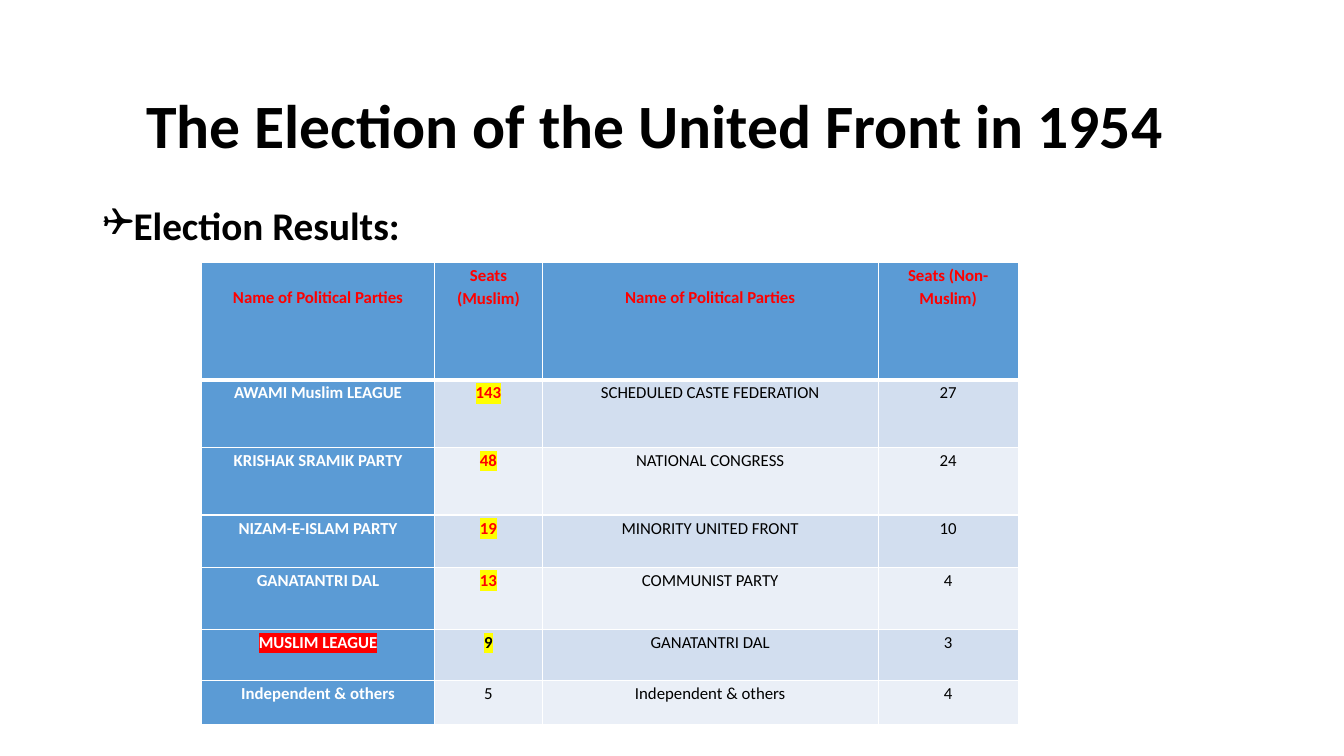
from lxml.etree import SubElement
from pptx import Presentation
from pptx.dml.color import RGBColor
from pptx.enum.text import MSO_ANCHOR, PP_ALIGN
from pptx.oxml.ns import qn
from pptx.util import Inches, Pt

COLORS = {
    "black": "000000",
    "white": "FFFFFF",
    "red": "FF0000",
    "yellow": "FFFF00",
    "blue": "5B9BD5",
    "dark band": "D2DEEF",
    "light band": "EAEFF7",
}


def style(paragraph, size, color, bold):
    paragraph.font.name = "Calibri"
    paragraph.font.size = Pt(size)
    paragraph.font.bold = bold
    paragraph.font.color.rgb = RGBColor.from_string(COLORS[color])


def add_color(parent, tag, color):
    holder = SubElement(parent, qn(tag))
    SubElement(holder, qn("a:srgbClr"), val=COLORS[color])


prs = Presentation()
prs.slide_width = Inches(13.33)
prs.slide_height = Inches(7.5)
slide = prs.slides.add_slide(prs.slide_layouts[6])

title = slide.shapes.add_textbox(Inches(0.75), Inches(0.55), Inches(11.5), Inches(1.45)).text_frame
title.word_wrap = True
title.vertical_anchor = MSO_ANCHOR.MIDDLE
heading = title.paragraphs[0]
heading.text = "The Election of the United Front in 1954"
heading.alignment = PP_ALIGN.CENTER
heading.line_spacing = 0.9
style(heading, 44, "black", True)

body = slide.shapes.add_textbox(Inches(0.92), Inches(2), Inches(11.5), Inches(4.76)).text_frame
body.word_wrap = True
results = body.paragraphs[0]
results.text = "Election Results:"
results.line_spacing = 0.9
bullet_props = results._p.get_or_add_pPr()
bullet_props.set("marL", str(Inches(0.25)))
bullet_props.set("indent", str(Inches(-0.25)))
SubElement(bullet_props, qn("a:buFont"), typeface="Wingdings")
SubElement(bullet_props, qn("a:buChar"), char="❑")
style(results, 28, "black", True)

seats = [
    ("Name of Political Parties", "Seats (Muslim)", "Name of Political Parties", "Seats (Non-Muslim)"),
    ("AWAMI Muslim LEAGUE", "143", "SCHEDULED CASTE FEDERATION", "27"),
    ("KRISHAK SRAMIK PARTY", "48", "NATIONAL CONGRESS", "24"),
    ("NIZAM-E-ISLAM PARTY", "19", "MINORITY UNITED FRONT", "10"),
    ("GANATANTRI DAL", "13", "COMMUNIST PARTY", "4"),
    ("MUSLIM LEAGUE", "9", "GANATANTRI DAL", "3"),
    ("Independent & others", "5", "Independent & others", "4"),
]
column_widths = [2.31, 1.07, 3.33, 1.39]
row_heights = [1.17, 0.67, 0.67, 0.52, 0.62, 0.5, 0.44]
highlights = {(row, 1): "yellow" for row in range(1, 6)}
highlights[5, 0] = "red"

table = slide.shapes.add_table(
    len(seats), len(column_widths), Inches(2), Inches(2.6), Inches(8.11), Inches(4.58)
).table
table.first_row = False
table.horz_banding = False
for column, width in zip(table.columns, column_widths):
    column.width = Inches(width)
for row, height in zip(table.rows, row_heights):
    row.height = Inches(height)

for r, entries in enumerate(seats):
    for c, entry in enumerate(entries):
        cell = table.cell(r, c)
        cell.margin_left = cell.margin_right = Inches(0.07)
        cell.margin_top = Inches(0.22 if r == 0 and c in (0, 2) else 0)
        cell.margin_bottom = 0

        for side in ("L", "R", "T", "B"):
            below_header = (r, side) in ((0, "B"), (1, "T"))
            border = SubElement(cell._tc.get_or_add_tcPr(), qn(f"a:ln{side}"),
                                w=str(Pt(3 if below_header else 1)))
            add_color(border, "a:solidFill", "white")

        if r == 0 or c == 0:
            fill = "blue"
        else:
            fill = "dark band" if r % 2 else "light band"
        cell.fill.solid()
        cell.fill.fore_color.rgb = RGBColor.from_string(COLORS[fill])

        if r == 0 or (c == 1 and r < 5):
            color = "red"
        else:
            color = "white" if c == 0 else "black"
        label = cell.text_frame.paragraphs[0]
        label.alignment = PP_ALIGN.CENTER
        label.line_spacing = 1.15
        run = label.add_run()
        run.text = entry
        style(label, 12, color, r == 0 or c == 0 or (r, c) in highlights)
        if (r, c) in highlights:
            add_color(run._r.get_or_add_rPr(), "a:highlight", highlights[r, c])

prs.save("out.pptx")
